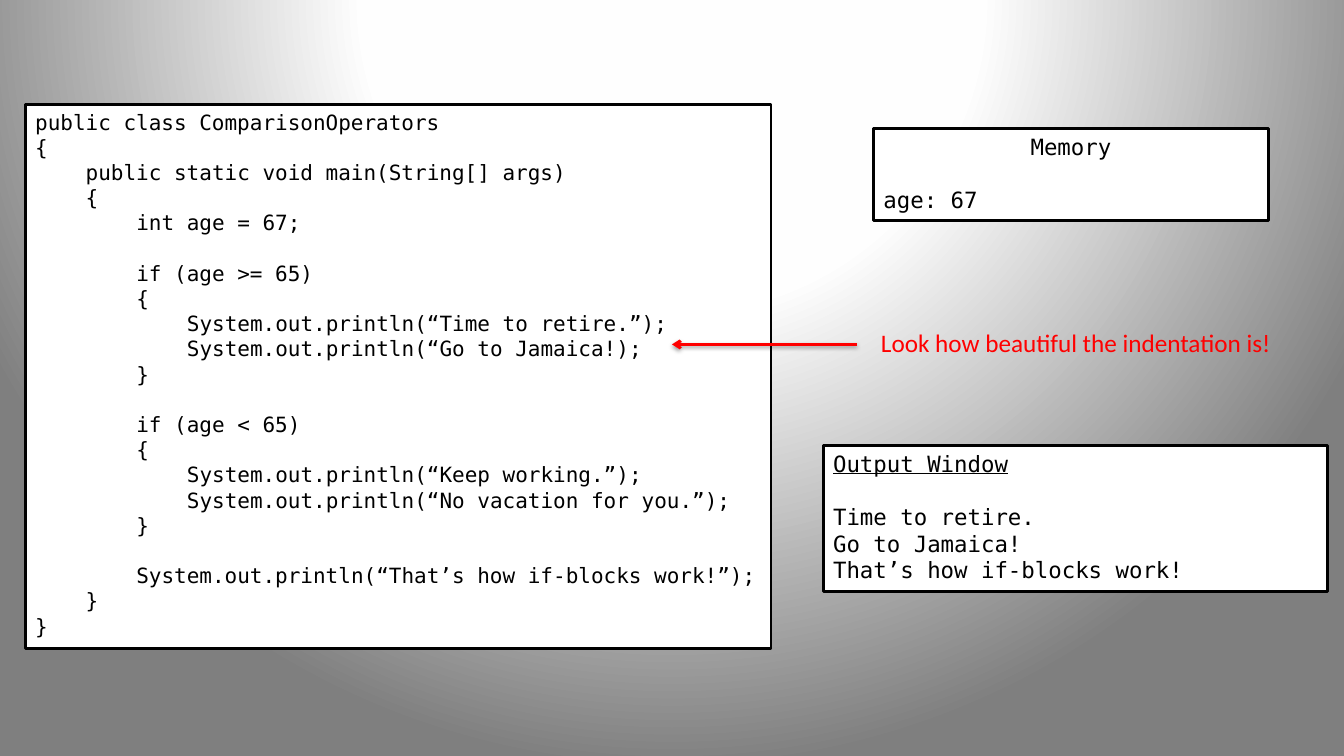
from pptx import Presentation
from pptx.dml.color import RGBColor
from pptx.enum.shapes import MSO_CONNECTOR as Connector, MSO_SHAPE as Preset
from pptx.enum.text import MSO_ANCHOR as Anchor, PP_ALIGN as Align
from pptx.oxml import parse_xml
from pptx.oxml.ns import nsdecls, qn
from pptx.util import Inches, Pt

COLORS = {"ink": "000000", "paper": "FFFFFF", "note": "FF0000", "glow": "FEFEFE", "edge": "7F7F7F"}
MONO = "DejaVu Sans Mono"
CHAR_WIDTH = 0.602

deck = Presentation()
deck.slide_width, deck.slide_height = Inches(13.33), Inches(7.5)
slide = deck.slides.add_slide(deck.slide_layouts[6])
COL, ROW = deck.slide_width / 160, deck.slide_height / 90


def place(left, top, width, height):
    return [round(left * COL), round(top * ROW), round(width * COL), round(height * ROW)]


def write(frame, text, size, font=MONO, color="ink", pitch=None, wrap=True):
    frame.word_wrap = wrap
    frame.vertical_anchor = Anchor.TOP
    gap = 0
    paragraph = None
    for line in text.splitlines():
        if not line:
            gap += pitch
            continue
        paragraph = frame.add_paragraph() if paragraph else frame.paragraphs[0]
        paragraph.alignment = Align.LEFT
        paragraph.space_before = Pt(gap)
        if pitch:
            paragraph.line_spacing = Pt(pitch)
        words = line.lstrip()
        indent = (len(line) - len(words)) * size * CHAR_WIDTH
        properties = paragraph._p.get_or_add_pPr()
        properties.set("marL", str(Pt(indent)))
        properties.set("indent", "0")
        run = paragraph.add_run()
        run.text = words
        run.font.name, run.font.size = font, Pt(size)
        run.font.color.rgb = RGBColor.from_string(COLORS[color])
        gap = 0
    return frame.paragraphs


slide.background.fill.gradient()
gradient = slide.element.find(".//" + qn("a:gradFill"))
stops = "".join(
    f'<a:gs pos="{share * 1000}"><a:srgbClr val="{COLORS[name]}"/></a:gs>'
    for share, name in [(0, "paper"), (40, "glow"), (100, "edge")]
)
gradient.getparent().replace(gradient, parse_xml(
    f'<a:gradFill {nsdecls("a")} rotWithShape="1"><a:gsLst>{stops}</a:gsLst><a:path path="circle">'
    '<a:fillToRect l="50000" t="-80000" r="50000" b="180000"/></a:path></a:gradFill>'
))

program = """public class ComparisonOperators
{
    public static void main(String[] args)
    {
        int age = 67;

        if (age >= 65)
        {
            System.out.println(“Time to retire.”);
            System.out.println(“Go to Jamaica!);
        }

        if (age < 65)
        {
            System.out.println(“Keep working.”);
            System.out.println(“No vacation for you.”);
        }

        System.out.println(“That’s how if-blocks work!”);
    }
}"""
memory = "Memory\n\nage: 67"
output = "Output Window\n\nTime to retire.\nGo to Jamaica!\nThat’s how if-blocks work!"

panels = [
    (program, (3, 12.4, 88.8, 64.8), 15, 18),
    (memory, (104, 15.3, 47, 11), 16, 19),
    (output, (98, 53, 60, 17.4), 16, 19),
]
headings = []
for text, area, size, pitch in panels:
    panel = slide.shapes.add_shape(Preset.RECTANGLE, *place(*area))
    panel.shadow.inherit = False
    panel.fill.solid()
    panel.fill.fore_color.rgb = RGBColor.from_string(COLORS["paper"])
    panel.line.color.rgb = RGBColor.from_string(COLORS["ink"])
    panel.line.width = Pt(2)
    headings.append(write(panel.text_frame, text, size, pitch=pitch)[0])
headings[1].alignment = Align.CENTER
headings[2].runs[0].font.underline = True

remark = slide.shapes.add_textbox(*place(103.7, 38.4, 49.4, 4.8))
write(remark.text_frame, "Look how beautiful the indentation is!", 18, font="Calibri", color="note", wrap=False)

start_x, row_y, end_x, _ = place(102, 41, 80, 0)
pointer = slide.shapes.add_connector(Connector.STRAIGHT, start_x, row_y, end_x, row_y)
pointer.line.color.rgb = RGBColor.from_string(COLORS["note"])
pointer.line.width = Pt(2)
pointer.line._get_or_add_ln().append(parse_xml(f'<a:tailEnd {nsdecls("a")} type="arrow"/>'))
pointer._element.spPr.append(parse_xml(
    f'<a:effectLst {nsdecls("a")}><a:outerShdw blurRad="{Pt(3.1)}" dist="{Pt(1.6)}" dir="5400000">'
    f'<a:srgbClr val="{COLORS["ink"]}"><a:alpha val="38000"/></a:srgbClr></a:outerShdw></a:effectLst>'
))

deck.save("out.pptx")
